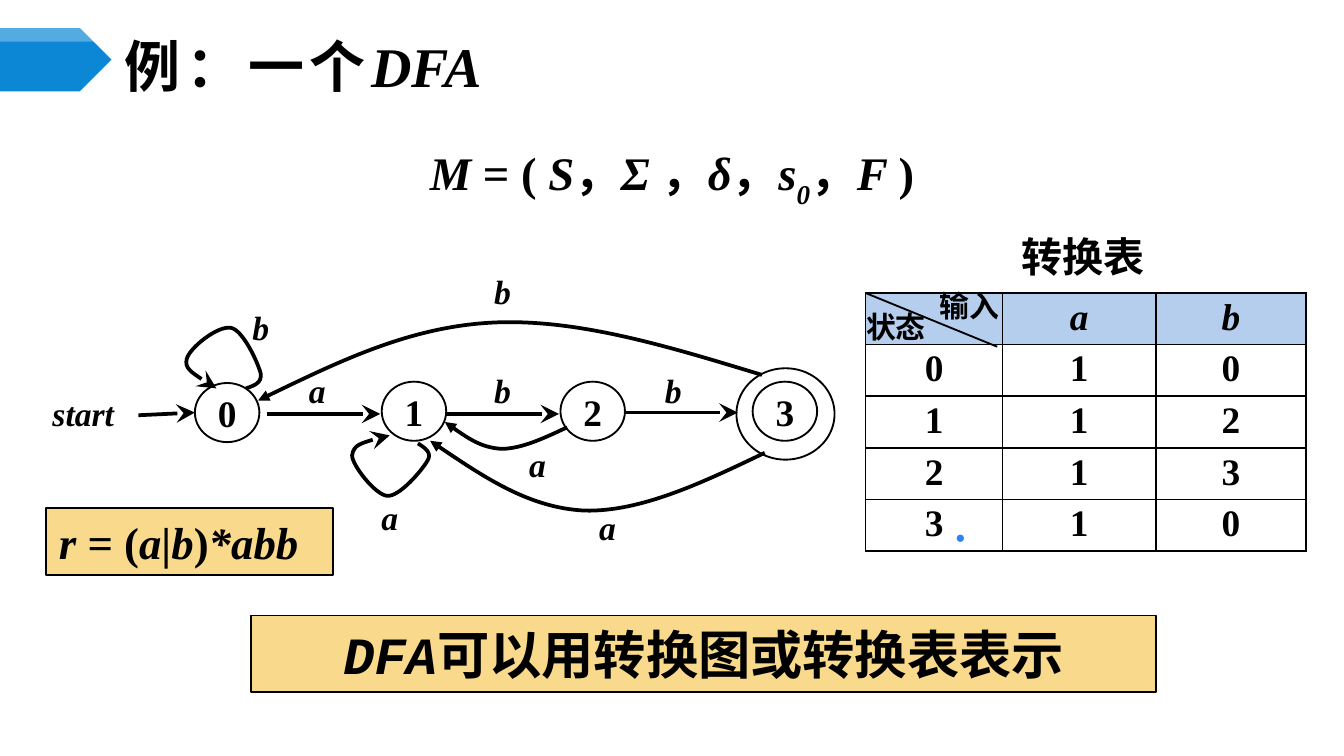
from lxml import etree
from pptx import Presentation
from pptx.dml.color import RGBColor
from pptx.enum.shapes import MSO_CONNECTOR, MSO_SHAPE
from pptx.enum.text import MSO_ANCHOR, MSO_AUTO_SIZE, PP_ALIGN
from pptx.oxml.ns import qn
from pptx.util import Cm, Pt

LEFT, CENTER = PP_ALIGN.LEFT, PP_ALIGN.CENTER
TOP, MIDDLE = MSO_ANCHOR.TOP, MSO_ANCHOR.MIDDLE
ELLIPSE, RECTANGLE, PENTAGON = MSO_SHAPE.OVAL, MSO_SHAPE.RECTANGLE, MSO_SHAPE.PENTAGON
SERIF, CHINESE, MONO, SANS = "Times New Roman", "Noto Sans CJK SC", "Courier New", "Arial"
BLACK, WHITE, BLUE, HEADER, AMBER, DOT = "000000", "FFFFFF", "0B87D6", "B5CEED", "F9D98C", "2D83F4"
ITALIC, UPRIGHT = {"italic": True}, {"italic": False}
SLIDE_WIDTH = 10
SLIDE_HEIGHT = SLIDE_WIDTH * 9 / 16

TITLE = [("例：一个", {"name": CHINESE, "spacing": 3}), ("DFA", ITALIC)]
FORMULA = [
    ("M ", ITALIC), ("= ( ", UPRIGHT), ("S", ITALIC), ("，", UPRIGHT),
    ("Σ ", ITALIC), ("，", UPRIGHT), ("δ", ITALIC), ("，", UPRIGHT),
    ("s", ITALIC), ("0", {"italic": True, "baseline": -30}), ("，", UPRIGHT),
    ("F ", ITALIC), (")", UPRIGHT),
]
EXPRESSION = [("r ", ITALIC), ("= (", UPRIGHT), ("a|b", ITALIC), (")", UPRIGHT), ("*abb", ITALIC)]
CONCLUSION = [("DFA", {"name": MONO, "italic": True}),
              ("可以用转换图或转换表表示", {"name": CHINESE})]

TRANSITIONS = [["", "a", "b"], ["0", "1", "0"], ["1", "1", "2"], ["2", "1", "3"], ["3", "1", "0"]]
COLUMN_WIDTHS = [1.02, 1.14, 1.12]
TABLE_HEIGHT = 1.92

STATES = [("0", 1.45, 2.85), ("1", 2.84, 2.84), ("2", 4.17, 2.84), ("3", 5.6, 2.84)]
EDGE_LABELS = [
    ("start", 0.2, 2.86), ("b", 1.52, 2.22), ("a", 1.94, 2.69), ("b", 3.32, 2.69),
    ("b", 4.59, 2.69), ("b", 3.32, 1.95), ("a", 2.48, 3.63), ("a", 3.58, 3.24), ("a", 4.1, 3.71),
]
STRAIGHT_EDGES = [
    (1.03, 3.09, 1.45, 3.07), (1.99, 3.08, 2.83, 3.08),
    (3.32, 3.08, 4.16, 3.08), (4.65, 3.07, 5.49, 3.07),
]
LOOPS = [
    [(1.83, 2.89), (1.89, 2.87), (1.95, 2.85), (1.94, 2.78), (1.92, 2.7), (1.81, 2.46),
     (1.72, 2.44), (1.62, 2.42), (1.41, 2.59), (1.39, 2.67), (1.37, 2.74), (1.49, 2.82), (1.61, 2.89)],
    [(3.11, 3.3), (3.16, 3.33), (3.22, 3.37), (3.18, 3.43), (3.14, 3.5), (2.97, 3.7),
     (2.88, 3.69), (2.79, 3.68), (2.62, 3.46), (2.62, 3.39), (2.63, 3.31), (2.76, 3.27), (2.9, 3.24)],
]
RETURN_EDGES = [
    [(5.67, 2.79), (4.98, 2.58), (4.3, 2.37), (3.67, 2.4), (3.05, 2.43), (2.48, 2.71), (1.92, 2.98)],
    [(5.69, 3.37), (5.23, 3.59), (4.77, 3.81), (4.35, 3.8), (3.94, 3.78), (3.57, 3.53), (3.2, 3.28)],
    [(4.22, 3.18), (4.05, 3.26), (3.88, 3.34), (3.73, 3.34), (3.58, 3.33), (3.45, 3.24), (3.31, 3.14)],
]


def length(inches):
    return Cm(inches * 2.54)


def lengths(*values):
    return [length(value) for value in values]


def color(value):
    return RGBColor.from_string(value)


def write(frame, runs, size, align=CENTER, anchor=MIDDLE, wrap=True, **base):
    for name, value in {"auto_size": MSO_AUTO_SIZE.NONE, "word_wrap": wrap,
                        "vertical_anchor": anchor}.items():
        setattr(frame, name, value)
    paragraph = frame.paragraphs[0]
    paragraph.alignment = align
    for text, changes in runs:
        run = paragraph.add_run()
        run.text = text
        style = {"name": SERIF, "size": Pt(size), "bold": True, "italic": False,
                 "color": BLACK, **base, **changes}
        run.font.color.rgb = color(style.pop("color"))
        properties = run.font._element
        properties.set("spc", str(style.pop("spacing", 0) * 100))
        properties.set("baseline", str(style.pop("baseline", 0) * 1000))
        for name, value in style.items():
            setattr(run.font, name, value)
        etree.SubElement(properties, qn("a:ea"), typeface=CHINESE)


def add_box(slide, kind, box, fill=None, outline=BLACK):
    shape = slide.shapes.add_shape(kind, *lengths(*box))
    shape.shadow.inherit = False
    if fill:
        shape.fill.solid()
        shape.fill.fore_color.rgb = color(fill)
    else:
        shape.fill.background()
    if outline:
        shape.line.color.rgb = color(outline)
        shape.line.width = Pt(1)
    else:
        shape.line.fill.background()
    return shape


def add_text(slide, box, runs, size, **options):
    frame = slide.shapes.add_textbox(*lengths(*box)).text_frame
    write(frame, runs, size, **options)


def style_edge(edge, width, arrow=None, arrow_size="med"):
    edge.line.color.rgb = color(BLACK)
    edge.line.width = Pt(width)
    if arrow:
        etree.SubElement(edge.line._get_or_add_ln(), qn("a:tailEnd"),
                         type=arrow, w=arrow_size, len=arrow_size)


def add_line(slide, ends, width, *arrow):
    line = slide.shapes.add_connector(MSO_CONNECTOR.STRAIGHT, *lengths(*ends))
    style_edge(line, width, *arrow)
    etree.SubElement(line._element.spPr, qn("a:effectLst"))


def add_curve(slide, points, *arrow):
    start, *controls = [tuple(lengths(*point)) for point in points]
    builder = slide.shapes.build_freeform(*start)
    builder.add_line_segments(controls, close=False)
    curve = builder.convert_to_shape()
    curve.shadow.inherit = False
    curve.fill.background()
    path = next(curve._element.iter(qn("a:path")))
    segments = path.findall(qn("a:lnTo"))
    for index in range(0, len(segments), 3):
        bezier = etree.SubElement(path, qn("a:cubicBezTo"))
        for segment in segments[index:index + 3]:
            bezier.append(segment[0])
            path.remove(segment)
    style_edge(curve, 2, *arrow)


def add_border(cell):
    properties = cell._tc.get_or_add_tcPr()
    for side in ("lnL", "lnR", "lnT", "lnB"):
        line = etree.SubElement(properties, qn(f"a:{side}"), w=str(Pt(1)))
        fill = etree.SubElement(line, qn("a:solidFill"))
        etree.SubElement(fill, qn("a:srgbClr"), val=BLACK)


def add_transition_table(slide):
    rows, columns = len(TRANSITIONS), len(COLUMN_WIDTHS)
    box = lengths(6.44, 2.18, sum(COLUMN_WIDTHS), TABLE_HEIGHT)
    table = slide.shapes.add_table(rows, columns, *box).table
    table.first_row = table.horz_banding = False
    for column, width in zip(table.columns, COLUMN_WIDTHS):
        column.width = length(width)
    for row_index, values in enumerate(TRANSITIONS):
        table.rows[row_index].height = length(TABLE_HEIGHT / rows)
        for column_index, value in enumerate(values):
            cell = table.cell(row_index, column_index)
            cell.margin_top = cell.margin_bottom = length(0.03)
            add_border(cell)
            if row_index:
                cell.fill.background()
            else:
                cell.fill.solid()
                cell.fill.fore_color.rgb = color(HEADER)
            if value:
                write(cell.text_frame, [(value, {"italic": row_index == 0})], 20, anchor=TOP)


def main():
    presentation = Presentation()
    presentation.slide_width, presentation.slide_height = lengths(SLIDE_WIDTH, SLIDE_HEIGHT)
    slide = presentation.slides.add_slide(presentation.slide_layouts[5])

    title = slide.shapes.title
    title.left, title.top, title.width, title.height = lengths(0.83, 0.29, 8.67, 0.39)
    write(title.text_frame, TITLE, 30, align=LEFT)
    add_box(slide, PENTAGON, (0, 0.21, 0.83, 0.47), BLUE, None)
    highlight = add_box(slide, PENTAGON, (0, 0.21, 0.83, 0.1), WHITE, None)
    tint = next(highlight._element.spPr.iter(qn("a:srgbClr")))
    etree.SubElement(tint, qn("a:alpha"), val="30000")
    add_text(slide, (0.39, 1.02, 9.22, 0.69), FORMULA, 25, anchor=TOP)

    add_transition_table(slide)
    add_text(slide, (7.15, 1.64, 1.81, 0.53), [("转换表", {})], 22, name=CHINESE)
    for text, left, top in [("状态", 6.34, 2.25), ("输入", 6.89, 2.09)]:
        add_text(slide, (left, top, 0.65, 0.37), [(text, {})], 16, anchor=TOP, wrap=False)
    add_line(slide, (6.44, 2.18, 7.42, 2.58), 1)

    add_box(slide, ELLIPSE, (5.48, 2.74, 0.73, 0.68))
    for text, left, top in STATES:
        state = add_box(slide, ELLIPSE, (left, top, 0.48, 0.44), WHITE)
        write(state.text_frame, [(text, {})], 20, wrap=False)
    for ends in STRAIGHT_EDGES:
        add_line(slide, ends, 2, "stealth", "lg")
    for points in LOOPS:
        add_curve(slide, points, "stealth", "lg")
    for points in RETURN_EDGES:
        add_curve(slide, points, "triangle")
    for text, left, top in EDGE_LABELS:
        add_text(slide, (left, top, 0.84, 0.43), [(text, ITALIC)], 18, wrap=False)

    conclusion = add_box(slide, RECTANGLE, (1.87, 4.58, 6.73, 0.57), AMBER)
    write(conclusion.text_frame, CONCLUSION, 28)
    add_text(slide, (7.01, 3.87, 0.33, 0.25), [("●", {})], 9, align=LEFT, anchor=TOP,
             wrap=False, name=SANS, color=DOT, bold=False)
    expression = add_box(slide, RECTANGLE, (0.34, 3.78, 2.14, 0.5), AMBER)
    write(expression.text_frame, EXPRESSION, 24, align=LEFT, anchor=TOP)
    presentation.save("out.pptx")


if __name__ == "__main__":
    main()
